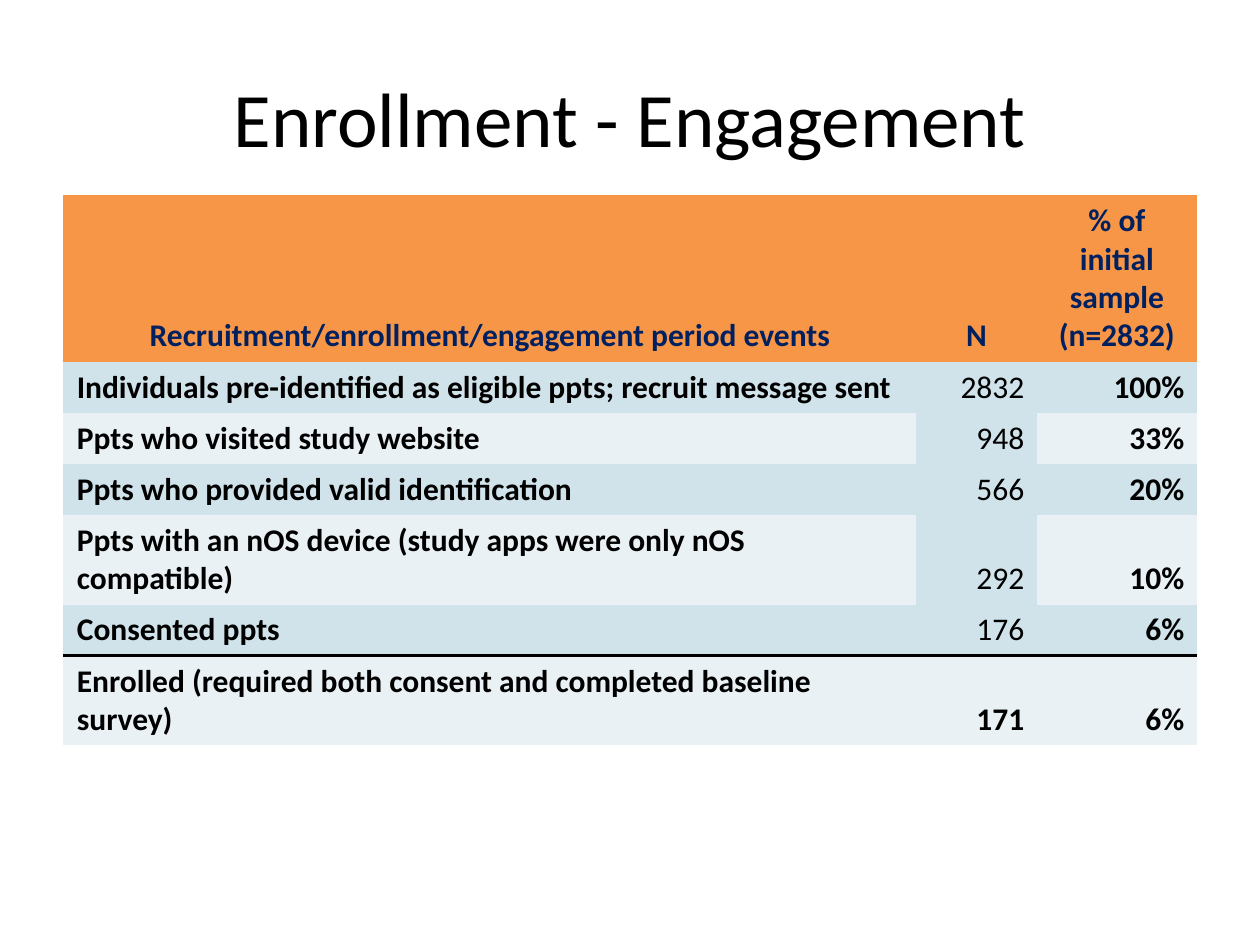
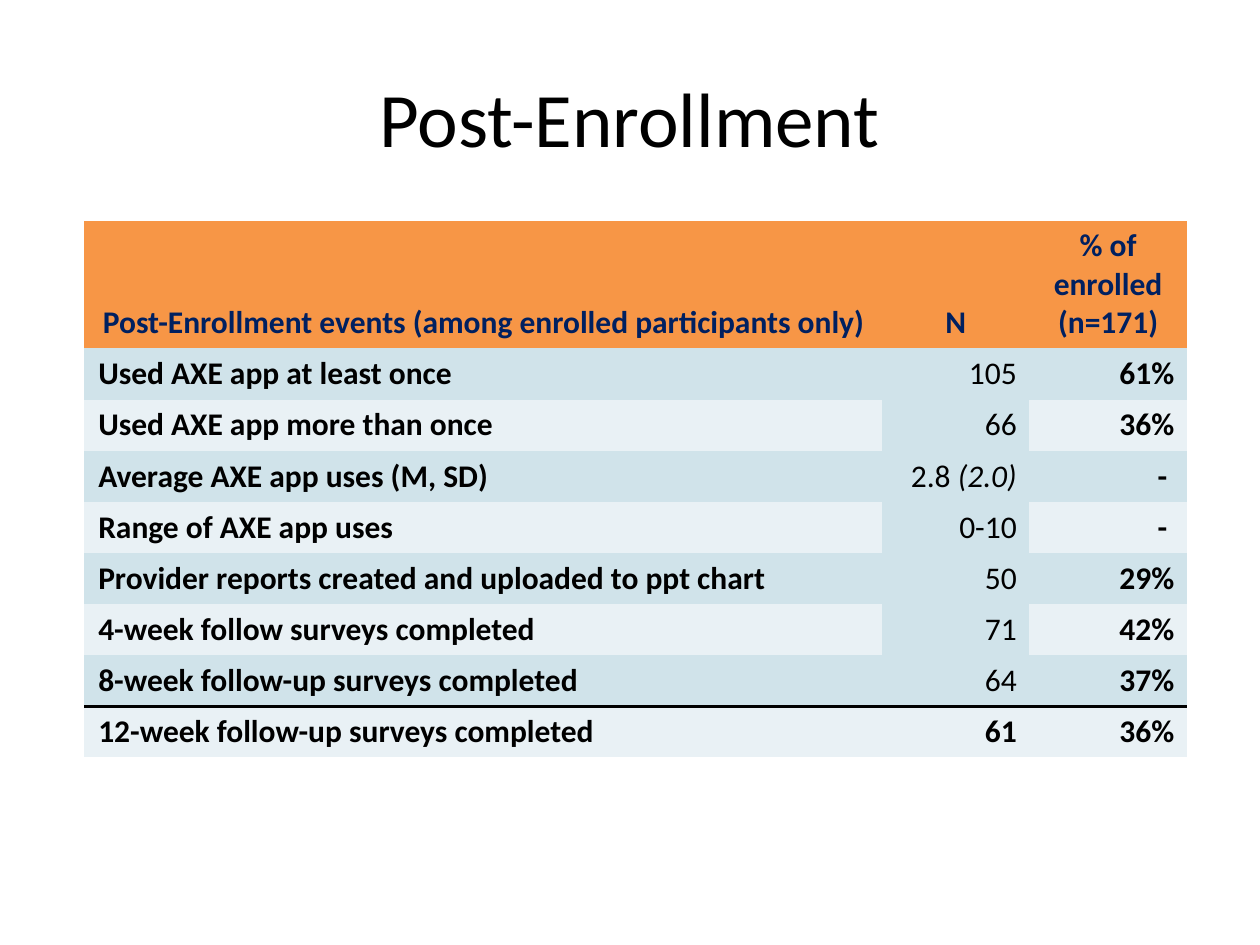
from dataclasses import dataclass

from lxml import etree
from pptx import Presentation
from pptx.dml.color import RGBColor
from pptx.enum.text import MSO_ANCHOR as Anchor, PP_ALIGN as Align
from pptx.oxml.ns import qn
from pptx.util import Inches, Pt

FONT = "Calibri"
BLACK, NAVY, ORANGE = "000000", "002060", "F79646"
DARK_BAND, LIGHT_BAND = "D0E3EA", "E9F1F5"
PLAIN_TABLE_STYLE = "{2D5ABB26-0587-4C30-8999-92F81FD0307C}"
HEADER_HEIGHT, ROW_HEIGHT = 0.92, 0.4
RULE_WIDTH = Pt(1.98)


@dataclass
class EventTable:
    title: str
    left: float
    top: float
    widths: list[float]
    rows: list[tuple[str, str, str]]  # header first, closing row last


EVENT_TABLES = [
    EventTable("Enrollment - Engagement", 0.5, 1.55, [6.77, 0.96, 1.27], [
        ("Recruitment/enrollment/engagement period events", "N",
         "% of initial sample (n=2832)"),
        ("Individuals pre-identified as eligible ppts; recruit message sent",
         "2832", "100%"),
        ("Ppts who visited study website", "948", "33%"),
        ("Ppts who provided valid identification", "566", "20%"),
        ("Ppts with an nOS device (study apps were only nOS compatible)",
         "292", "10%"),
        ("Consented ppts", "176", "6%"),
        ("Enrolled (required both consent and completed baseline survey)",
         "171", "6%"),
    ]),
    EventTable("Post-Enrollment", 0.67, 1.75, [6.33, 1.17, 1.25], [
        ("Post-Enrollment events (among enrolled participants only)", "N",
         "% of enrolled (n=171)"),
        ("Used AXE app at least once", "105", "61%"),
        ("Used AXE app more than once", "66", "36%"),
        ("Average AXE app uses (M, SD)", "2.8 (2.0)", "- "),
        ("Range of AXE app uses", "0-10", "- "),
        ("Provider reports created and uploaded to ppt chart", "50", "29%"),
        ("4-week follow surveys completed", "71", "42%"),
        ("8-week follow-up surveys completed", "64", "37%"),
        ("12-week follow-up surveys completed", "61", "36%"),
    ]),
]


def color(value: str) -> RGBColor:
    return RGBColor.from_string(value)


def style_paragraph(paragraph, size: float, font_color: str, align: Align, bold: bool) -> None:
    paragraph.alignment = align
    paragraph.font.name = FONT
    paragraph.font.size = Pt(size)
    paragraph.font.bold = bold
    paragraph.font.color.rgb = color(font_color)


def add_title(slide, text: str) -> None:
    title = slide.shapes.title
    title.left, title.top = Inches(0.5), Inches(0.3)
    title.width, title.height = Inches(9), Inches(1.25)
    title.text_frame.text = text
    title.text_frame.vertical_anchor = Anchor.MIDDLE
    style_paragraph(title.text_frame.paragraphs[0], 44, BLACK, Align.CENTER, False)


def add_border(cell, side: str) -> None:
    # Border lines come before the fill in the cell properties
    line = etree.Element(qn(f"a:{side}"), w=str(RULE_WIDTH))
    fill = etree.SubElement(line, qn("a:solidFill"))
    etree.SubElement(fill, qn("a:srgbClr"), val=BLACK)
    cell._tc.get_or_add_tcPr().insert(0, line)


def write_cell(cell, text: str, row: int, column: int, last_row: int) -> None:
    is_header, is_count = row == 0, column == 1
    paragraph = cell.text_frame.paragraphs[0]

    # A standard deviation in brackets after a count is italic
    count, bracket, deviation = text.partition("(")
    if is_count and bracket:
        paragraph.add_run().text = count
        run = paragraph.add_run()
        run.text = bracket + deviation
        run.font.italic = True
    else:
        paragraph.text = text

    if is_header:
        fill, align = ORANGE, Align.CENTER
    else:
        is_dark = row % 2 == 1 or (is_count and row < last_row)
        fill = DARK_BAND if is_dark else LIGHT_BAND
        align = Align.LEFT if column == 0 else Align.RIGHT
    bold = is_header or row == last_row or not is_count
    style_paragraph(paragraph, 18, NAVY if is_header else BLACK, align, bold)
    cell.vertical_anchor = Anchor.BOTTOM
    if column == 0:
        cell.margin_left = Inches(0.11)
    cell.fill.solid()
    cell.fill.fore_color.rgb = color(fill)

    # Rule above the closing row
    if row == last_row - 1:
        add_border(cell, "lnB")
    elif row == last_row:
        add_border(cell, "lnT")


def add_event_table(slide, events: EventTable) -> None:
    last_row = len(events.rows) - 1
    frame = slide.shapes.add_table(
        len(events.rows), len(events.widths), Inches(events.left), Inches(events.top),
        Inches(sum(events.widths)), Inches(HEADER_HEIGHT + last_row * ROW_HEIGHT))
    table = frame.table
    table.horz_banding = False
    table._tbl.tblPr.find(qn("a:tableStyleId")).text = PLAIN_TABLE_STYLE
    for column, width in zip(table.columns, events.widths):
        column.width = Inches(width)
    for row, texts in enumerate(events.rows):
        table.rows[row].height = Inches(ROW_HEIGHT if row else HEADER_HEIGHT)
        for column, text in enumerate(texts):
            write_cell(table.cell(row, column), text, row, column, last_row)


def main() -> None:
    presentation = Presentation()
    presentation.slide_width, presentation.slide_height = Inches(10), Inches(7.5)
    title_only = presentation.slide_layouts[5]
    for events in EVENT_TABLES:
        slide = presentation.slides.add_slide(title_only)
        add_title(slide, events.title)
        add_event_table(slide, events)
    presentation.save("out.pptx")


if __name__ == "__main__":
    main()
